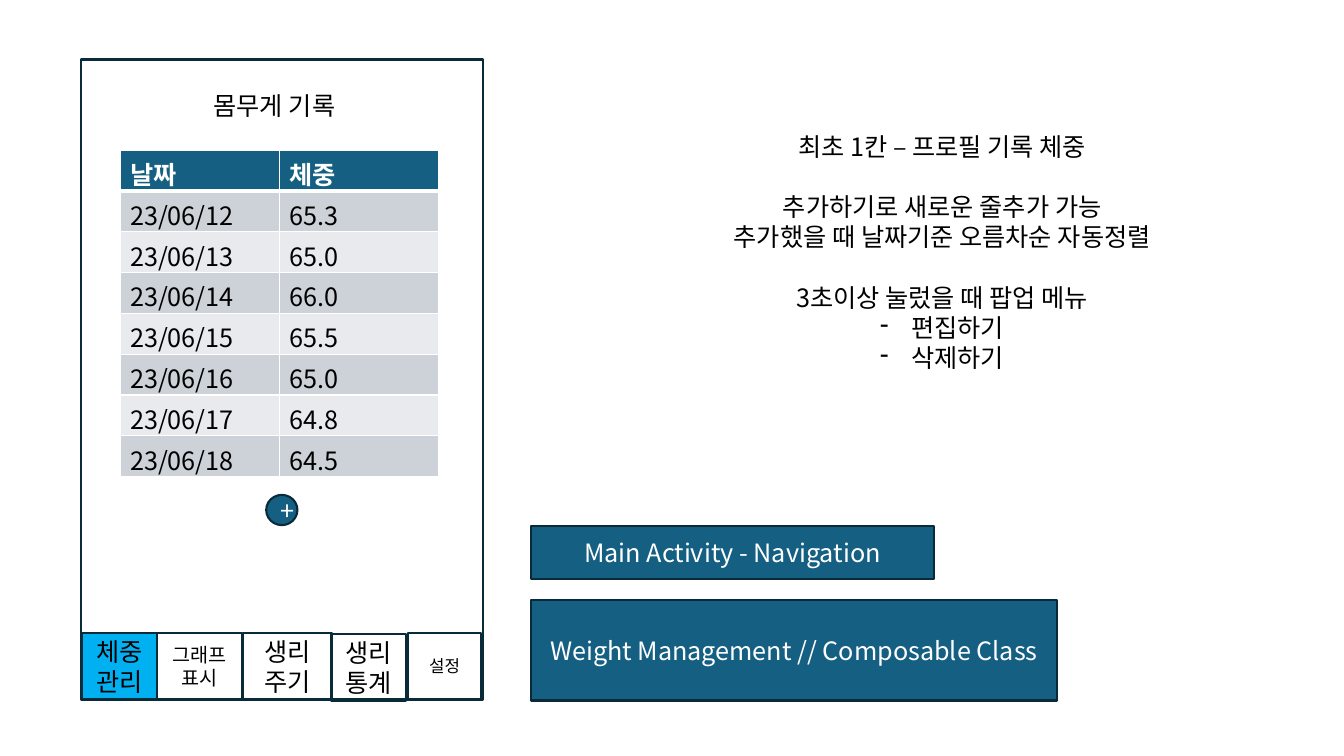
from lxml import etree
from pptx import Presentation
from pptx import util as u
from pptx.dml.color import RGBColor
from pptx.enum import shapes, text
from pptx.oxml import ns

CELL = u.Inches(0.1)
FONT = "Noto Sans CJK KR"
BLACK = RGBColor(0x00, 0x00, 0x00)
WHITE = RGBColor(0xFF, 0xFF, 0xFF)
NAVY = RGBColor(0x09, 0x2A, 0x39)
TEAL = RGBColor(0x15, 0x60, 0x82)
SKY = RGBColor(0x00, 0xB0, 0xF0)
BANDS = RGBColor(0xE8, 0xEA, 0xED), RGBColor(0xCC, 0xD2, 0xD8)

WEIGHTS = [
    ("날짜", "체중"),
    ("23/06/12", "65.3"),
    ("23/06/13", "65.0"),
    ("23/06/14", "66.0"),
    ("23/06/15", "65.5"),
    ("23/06/16", "65.0"),
    ("23/06/17", "64.8"),
    ("23/06/18", "64.5"),
]
TABS = [
    (8.1, 62.8, 7.5, "체중\n관리", 18, SKY),
    (15.6, 62.8, 8.4, "그래프\n표시", 14, None),
    (24.1, 62.8, 8.8, "생리\n주기", 18, None),
    (32.8, 62.9, 7.5, "생리\n통계", 18, None),
    (40.5, 62.8, 7.2, "설정", 12, None),
]
NOTE_GROUPS = [
    ["최초 1칸 – 프로필 기록 체중"],
    ["추가하기로 새로운 줄추가 가능", "추가했을 때 날짜기준 오름차순 자동정렬"],
    ["3초이상 눌렀을 때 팝업 메뉴", "편집하기", "삭제하기"],
]
BULLETED = {"편집하기", "삭제하기"}


def grid(*cells):
    return [round(cell * CELL) for cell in cells]


def style(para, size=18, color=BLACK, bold=False, align=None):
    para.alignment = align
    font = para.font
    font.size, font.bold, font.name = u.Pt(size), bold, FONT
    font.color.rgb = color
    east = etree.SubElement(para._p.pPr.find(ns.qn("a:defRPr")), ns.qn("a:ea"))
    east.set("typeface", FONT)


def add_block(page, kind, place, words="", size=18, fill=None, color=BLACK):
    block = page.shapes.add_shape(kind, *grid(*place))
    block.shadow.inherit = False
    if fill is None:
        block.fill.background()
    else:
        block.fill.solid()
        block.fill.fore_color.rgb = fill
    block.line.color.rgb = NAVY
    block.line.width = u.Pt(1.5)
    frame = block.text_frame
    frame.vertical_anchor = text.MSO_ANCHOR.MIDDLE
    if words:
        frame.text = words
        for para in frame.paragraphs:
            style(para, size, color, align=text.PP_ALIGN.CENTER)


def add_text_box(page, place, lines, wrap, align=None):
    frame = page.shapes.add_textbox(*grid(*place)).text_frame
    frame.word_wrap = wrap
    frame.auto_size = text.MSO_AUTO_SIZE.SHAPE_TO_FIT_TEXT
    frame.text = "\n".join(lines)
    for para in frame.paragraphs:
        style(para, align=align)
    return frame


def add_dash(para):
    props = para._p.pPr
    props.set("marL", str(u.Inches(0.31)))
    props.set("indent", str(-u.Inches(0.31)))
    bullet = etree.Element(ns.qn("a:buChar"), char="-")
    props.insert(0, bullet)


def add_notes(page):
    lines = sum(NOTE_GROUPS, [])
    frame = add_text_box(page, (60.1, 12.5, 66.7, 25.2), lines, True, text.PP_ALIGN.CENTER)
    starts = {group[0] for group in NOTE_GROUPS[1:]}
    for para in frame.paragraphs:
        if para.text in starts:
            para.space_before = u.Pt(21.6)
        if para.text in BULLETED:
            add_dash(para)


def add_borders(cell, top, bottom):
    props = cell._tc.get_or_add_tcPr()
    for side, points in (("L", 1), ("R", 1), ("T", top), ("B", bottom)):
        line = etree.SubElement(props, ns.qn(f"a:ln{side}"), w=str(u.Pt(points)))
        solid = etree.SubElement(line, ns.qn("a:solidFill"))
        etree.SubElement(solid, ns.qn("a:srgbClr"), val=str(WHITE))


def add_weight_table(page):
    frame = page.shapes.add_table(len(WEIGHTS), 2, *grid(11.9, 14.9, 31.6, 32.4))
    table = frame.table
    table.first_row = table.horz_banding = False
    for row, record in enumerate(WEIGHTS):
        header = row == 0
        for column, words in enumerate(record):
            cell = table.cell(row, column)
            add_borders(cell, 3 if row == 1 else 1, 3 if header else 1)
            cell.fill.solid()
            cell.fill.fore_color.rgb = TEAL if header else BANDS[row % 2]
            cell.text = words
            style(cell.text_frame.paragraphs[0], color=WHITE if header else BLACK, bold=header)


def main():
    deck = Presentation()
    deck.slide_width, deck.slide_height = u.Inches(13.33), u.Inches(7.5)
    page = deck.slides.add_slide(deck.slide_layouts[6])
    rectangle, oval = shapes.MSO_SHAPE.RECTANGLE, shapes.MSO_SHAPE.OVAL

    add_block(page, rectangle, (8, 5.9, 39.9, 63.5))
    add_text_box(page, (20.2, 8.5, 15.5, 4), ["몸무게 기록"], False)
    add_notes(page)
    add_weight_table(page)
    add_block(page, oval, (26.4, 49.1, 3.1, 3), "+", fill=TEAL, color=WHITE)
    for left, top, width, words, size, fill in TABS:
        add_block(page, rectangle, (left, top, width, 6.6), words, size, fill)
    add_block(page, rectangle, (52.7, 59.5, 52.1, 10),
              "Weight Management // Composable Class", fill=TEAL, color=WHITE)
    add_block(page, rectangle, (52.7, 52.2, 39.9, 5.2),
              "Main Activity - Navigation", fill=TEAL, color=WHITE)
    deck.save("out.pptx")


if __name__ == "__main__":
    main()
